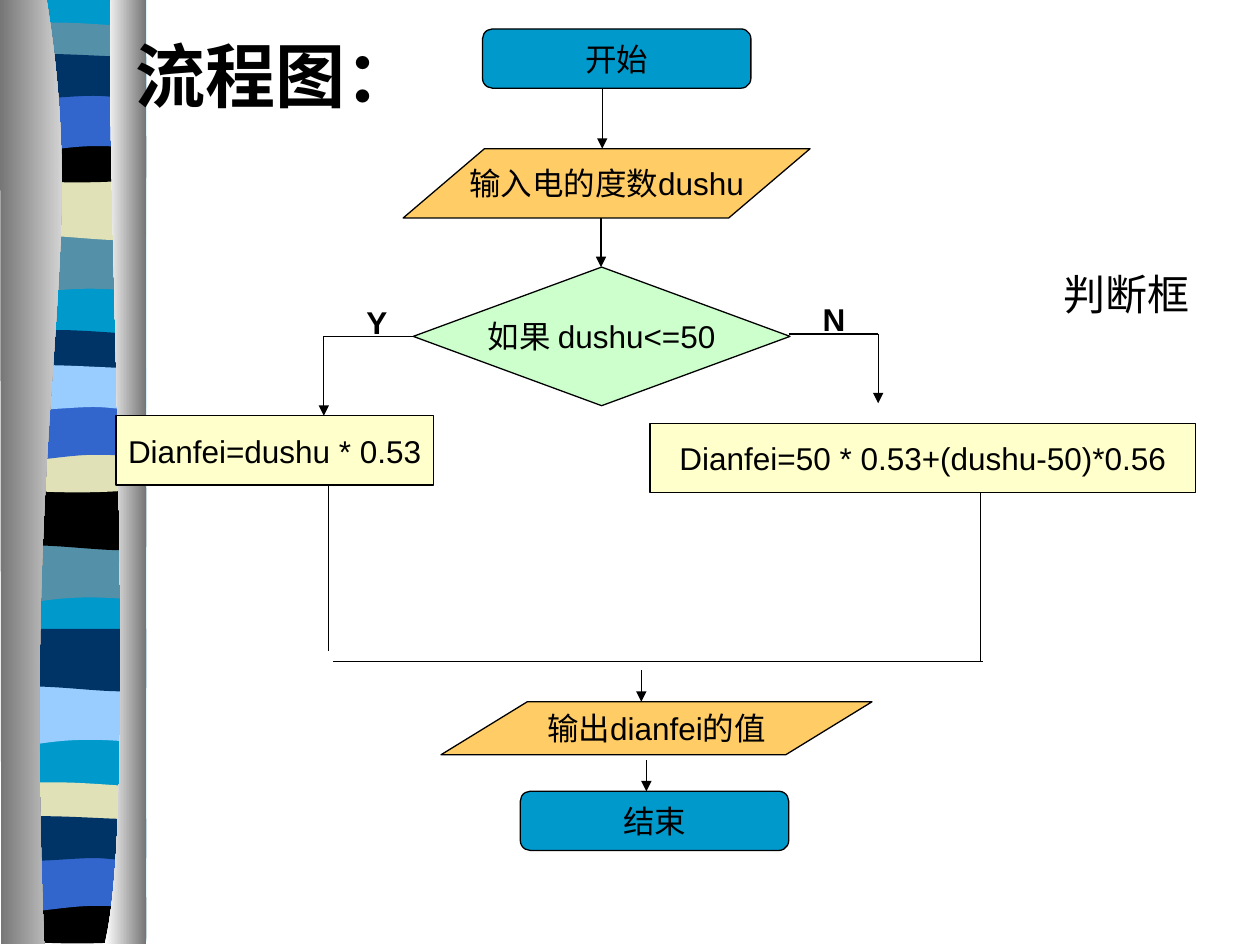
from lxml.etree import SubElement
from pptx import Presentation
from pptx.dml.color import RGBColor
from pptx.enum.shapes import MSO_CONNECTOR, MSO_SHAPE as SHAPE
from pptx.enum.text import MSO_ANCHOR as ANCHOR, PP_ALIGN as ALIGN
from pptx.oxml.ns import qn
from pptx.util import Pt

PX = 9144
BLACK = RGBColor(0, 0, 0)
WHITE = RGBColor(255, 255, 255)
GRAY = RGBColor(0x76, 0x76, 0x76)
TEAL = RGBColor(0x00, 0x99, 0xCC)
STEEL = RGBColor(0x54, 0x90, 0xA8)
SAND = RGBColor(0xE1, 0xE1, 0xB7)
NAVY = RGBColor(0x00, 0x33, 0x66)
BLUE = RGBColor(0x33, 0x66, 0xCC)
SKY = RGBColor(0x99, 0xCC, 0xFF)
ORANGE = RGBColor(0xFF, 0xCC, 0x66)
GREEN = RGBColor(0xCC, 0xFF, 0xCC)
CREAM = RGBColor(0xFF, 0xFF, 0xCC)

FALLING = [(110, 0), (110, 47), (34, 38, 19, 54, 0, 47), (0, 0), (110, 0)]
RISING = [(110, 0), (110, 47), (92, 55, 34, 42, 0, 47), (0, 0), (110, 0)]
THIN = [(110, 5), (110, 29), (92, 33, 19, 33, 0, 29), (0, 5),
        (7, 0, 24, 1, 42, 1), (61, 1, 96, 4, 110, 5)]
BOWED = [(110, 0), (110, 33), (92, 38, 19, 38, 0, 33), (0, 0),
         (68, 5, 87, 0, 110, 0)]
ARCHED = [(110, 0), (110, 47), (94, 41, 87, 41, 69, 41),
          (50, 41, 18, 47, 0, 47), (0, 0), (110, 0)]
WAVY = [(110, 5), (110, 36), (103, 41, 86, 36, 68, 36),
        (49, 36, 12, 41, 0, 36), (0, 5), (16, 0, 75, 5, 93, 5),
        (111, 5, 106, 5, 110, 5)]
PROFILES = [FALLING, RISING, THIN, BOWED, ARCHED, WAVY]
BANDS = [
    ([185, 141, 17, 108, 75, 40], [STEEL, SAND, STEEL, BLACK, BLUE, NAVY]),
    ([430, 387, 261, 354, 320, 287], [STEEL, BLACK, NAVY, SAND, BLUE, SKY]),
    ([543, 499, 620, 712, 678, 645], [SKY, NAVY, SAND, BLACK, BLUE, NAVY]),
]
BAND_LEFTS = [5, 6, 5, 6, 5, 6]
BACKDROP = [(110, 0), (110, 747), (0, 747), (0, 0), (110, 0)]
LEFT_COLUMN = [(37, 0), (72, 217, 17, 296, 35, 749), (1, 749), (0, 0), (37, 0)]
RIGHT_COLUMN = [(88, 0), (83, 125, 111, 647, 83, 749), (116, 749), (116, 0),
                (88, 0)]


def add_outline(page, left, top, outline):
    """Draw a closed outline of corners and cubic curves."""
    points = [((left + x) * PX, (top + y) * PX)
              for part in outline for x, y in zip(part[::2], part[1::2])]
    builder = page.shapes.build_freeform(*points[0])
    builder.add_line_segments(points[1:], close=True)
    shape = builder.convert_to_shape()
    segments = iter(list(shape._element.iter(qn("a:lnTo"))))
    for part in outline[1:]:
        segment = next(segments)
        if len(part) == 6:
            segment.tag = qn("a:cubicBezTo")
            for extra in (next(segments), next(segments)):
                segment.append(extra[0])
                extra.getparent().remove(extra)
    shape.shadow.inherit = False
    shape.line.fill.background()
    return shape


def add_band(page, left, top, outline, color):
    """Draw one plain band."""
    fill = add_outline(page, left, top, outline).fill
    fill.solid()
    fill.fore_color.rgb = color


def add_column(page, left, top, outline, colors):
    """Draw a column shaded from left to right."""
    fill = add_outline(page, left, top, outline).fill
    fill.gradient()
    fill.gradient_angle = 0
    for stop, color, position in zip(fill.gradient_stops, colors, (0, 1)):
        stop.color.rgb = color
        stop.position = position


def write(box, text, size=18, bold=False, font="Arial", align=ALIGN.LEFT):
    """Write one unwrapped paragraph in a box."""
    box.text_frame.word_wrap = False
    para = box.text_frame.paragraphs[0]
    para.text = text
    para.alignment = align
    para.font.size = Pt(size)
    para.font.bold = bold
    para.font.name = font
    para.font.color.rgb = BLACK


def add_label(page, left, top, width, height, text, **style):
    """Place free text."""
    box = page.shapes.add_textbox(left * PX, top * PX, width * PX, height * PX)
    write(box, text, **style)
    return box


def add_node(page, kind, left, top, width, height, color, text):
    """Place one flowchart node."""
    node = page.shapes.add_shape(kind, left * PX, top * PX, width * PX, height * PX)
    node.shadow.inherit = False
    node.fill.solid()
    node.fill.fore_color.rgb = color
    node.line.color.rgb = BLACK
    node.line.width = Pt(0.75)
    node.text_frame.vertical_anchor = ANCHOR.MIDDLE
    write(node, text, align=ALIGN.CENTER)


def add_line(page, left, top, across, down, arrow=False):
    """Draw a line by its extent, with an optional arrowhead."""
    line = page.shapes.add_connector(
        MSO_CONNECTOR.STRAIGHT, left * PX, top * PX,
        (left + across) * PX, (top + down) * PX)
    line.line.color.rgb = BLACK
    line.line.width = Pt(0.75)
    if arrow:
        SubElement(line.line._get_or_add_ln(), qn("a:tailEnd"), type="triangle")
    SubElement(line._element.spPr, qn("a:effectLst"))


def add_ribbon(page, left, top):
    """Draw the striped ribbon between its two shaded columns."""
    add_band(page, left + 6, top, BACKDROP, TEAL)
    for tops, colors in BANDS:
        for profile, inset, offset, color in zip(PROFILES, BAND_LEFTS, tops, colors):
            add_band(page, left + inset, top + offset, profile, color)
    add_column(page, left, top, LEFT_COLUMN, (GRAY, WHITE))
    add_column(page, left, top, RIGHT_COLUMN, (WHITE, GRAY))


def add_opening(page, left, top):
    """Draw the start, the input and the decision."""
    add_node(page, SHAPE.FLOWCHART_ALTERNATE_PROCESS,
             left + 63, top, 213, 47, TEAL, "开始")
    add_line(page, left + 158, top + 47, 0, 48, arrow=True)
    add_node(page, SHAPE.FLOWCHART_DATA,
             left, top + 95, 323, 55, ORANGE, "输入电的度数dushu")
    add_line(page, left + 157, top + 150, 0, 39, arrow=True)
    add_node(page, SHAPE.FLOWCHART_DECISION,
             left + 8, top + 189, 299, 110, GREEN, "如果 dushu<=50")


def add_branch(page, left, top, across, down, label, node, out):
    """Draw an elbow, its label, its formula and the line below it."""
    mark, shift, rise, width = label
    text, box_left, box_top, box_width = node
    out_left, out_down = out
    add_line(page, left, top, across, 0)
    add_line(page, left + across, top, 0, down, arrow=True)
    add_label(page, left + shift, top - rise, width, 40, mark, bold=True)
    add_node(page, SHAPE.RECTANGLE, left + box_left, top + box_top,
             box_width, 55, CREAM, text)
    add_line(page, left + out_left, top + box_top + 55, 0, out_down)


def add_closing(page, left, top):
    """Draw the joining line, the output and the end."""
    add_line(page, left + 516, top, -516, 0)
    add_line(page, left + 245, top + 7, 0, 25, arrow=True)
    add_node(page, SHAPE.FLOWCHART_DATA,
             left + 86, top + 32, 342, 42, ORANGE, "输出dianfei的值")
    add_node(page, SHAPE.FLOWCHART_ALTERNATE_PROCESS,
             left + 149, top + 103, 213, 47, TEAL, "结束")
    add_line(page, left + 249, top + 78, 0, 25, arrow=True)


def main():
    """Build the flowchart slide."""
    deck = Presentation()
    deck.slide_width, deck.slide_height = 1000 * PX, 750 * PX
    page = deck.slides.add_slide(deck.slide_layouts[6])
    add_ribbon(page, 0, 0)
    title = add_label(page, 98, 21, 268, 77, "流程图：", size=40, bold=True)
    title.text_frame.word_wrap = True
    add_opening(page, 320, 23)
    add_branch(page, 328, 267, -71, 63, ("Y", -47, 31, 36),
               ("Dianfei=dushu * 0.53", -236, 63, 252), (-67, 132))
    add_branch(page, 626, 265, 71, 55, ("N", 17, 32, 38),
               ("Dianfei=50 * 0.53+(dushu-50)*0.56", -110, 71, 433), (152, 134))
    add_closing(page, 264, 525)
    add_label(page, 834, 208, 120, 50, "判断框", size=24, font="Times New Roman")
    deck.save("out.pptx")


if __name__ == "__main__":
    main()
